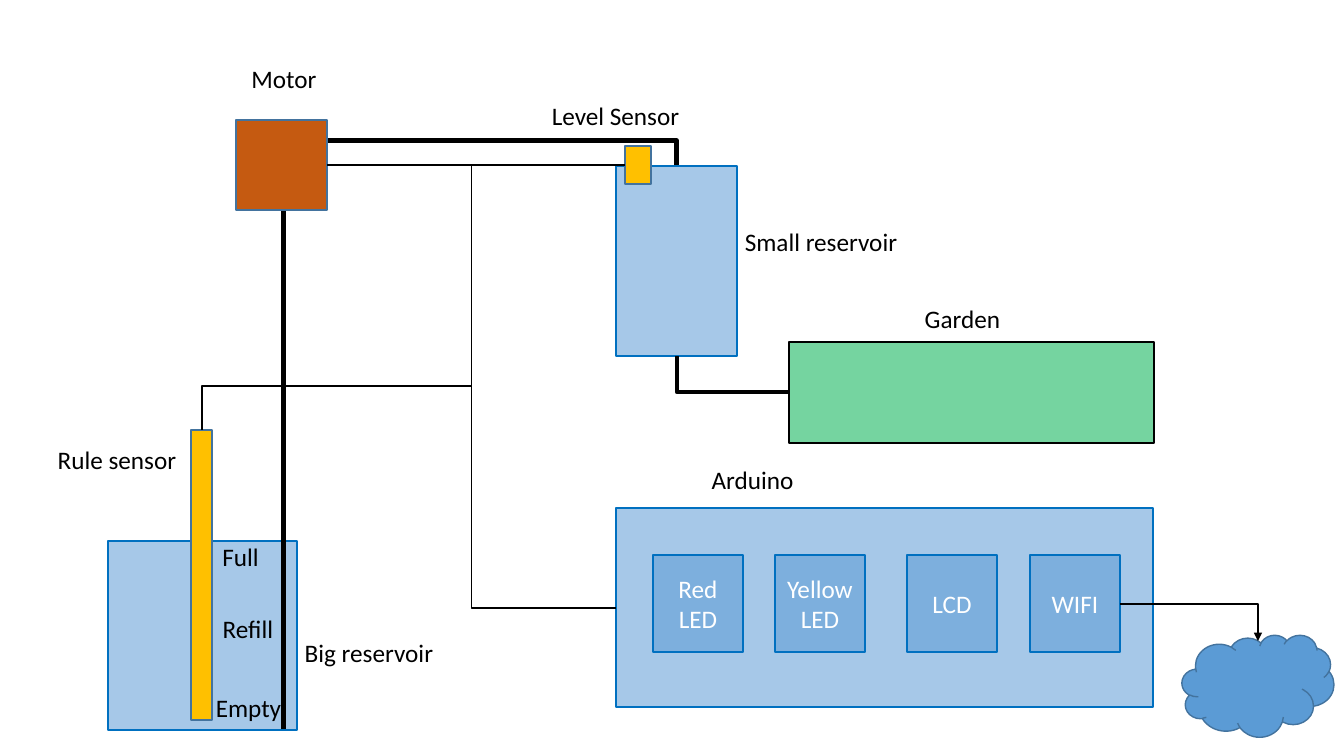
"""Builds the wiring diagram of an automatic garden watering system."""
from lxml.etree import SubElement
from pptx import Presentation
from pptx.dml.color import RGBColor
from pptx.enum.shapes import MSO_CONNECTOR as LINK, MSO_SHAPE as SHAPE
from pptx.enum.text import MSO_ANCHOR as ANCHOR, MSO_AUTO_SIZE as AUTOSIZE, PP_ALIGN as ALIGN
from pptx.oxml.ns import qn
from pptx.util import Emu, Pt

PX = 12192000 / 1344


def px(length):
    """Turn whole pixels into EMU."""
    return Emu(round(length * PX))


def color(hex_code):
    """Turn a hex string into a colour."""
    return RGBColor.from_string(hex_code)


def write(frame, text, size=18, font="Calibri", ink="000000", align=ALIGN.CENTER):
    """Fill a text frame, one paragraph for each line of the text."""
    frame.text = text
    for paragraph in frame.paragraphs:
        paragraph.alignment = align
        for run in paragraph.runs:
            run.font.size = Pt(size)
            run.font.name = font
            run.font.color.rgb = color(ink)


class Diagram:
    """Holds the style and the current slide."""

    black, white = "000000", "FFFFFF"
    blue, blue_edge = "5B9BD5", "0070C0"
    amber, rust, green, dark_edge = "FFC000", "C55A11", "00B050", "43739E"
    pipe, wire, signal = 3.25, 1, 1.5

    def __init__(self, slide):
        """Keep the slide that is drawn on."""
        self.shapes = slide.shapes

    def label(self, left, top, width, text):
        """Add a one-line centred caption."""
        frame = self.shapes.add_textbox(px(left), px(top), px(width), px(40)).text_frame
        frame.word_wrap = False
        frame.auto_size = AUTOSIZE.SHAPE_TO_FIT_TEXT
        write(frame, text)

    def device(self, left, top, width, height, fill, edge, alpha=100, text="", kind=SHAPE.RECTANGLE):
        """Add a filled component, with white text if any."""
        device = self.shapes.add_shape(kind, px(left), px(top), px(width), px(height))
        device.shadow.inherit = False
        device.fill.solid()
        device.fill.fore_color.rgb = color(fill)
        if alpha < 100:
            tint = device._element.spPr.find(qn("a:solidFill"))[0]
            SubElement(tint, qn("a:alpha"), val=str(alpha * 1000))
        device.line.color.rgb = color(edge)
        device.line.width = Pt(1)
        if text:
            device.text_frame.vertical_anchor = ANCHOR.MIDDLE
            write(device.text_frame, text, ink=self.white)
        return device

    def tank(self, left, top, width, height, text=""):
        """Add a translucent blue component."""
        return self.device(left, top, width, height, self.blue, self.blue_edge, 54, text)

    def link(self, start, end, width, kind=LINK.ELBOW, arrow=False):
        """Add a black connector between two points."""
        link = self.shapes.add_connector(kind, *map(px, start + end))
        link.line.color.rgb = color(self.black)
        link.line.width = Pt(width)
        properties = link._element.spPr
        if arrow:
            SubElement(properties.find(qn("a:ln")), qn("a:tailEnd"), type="triangle")
        SubElement(properties, qn("a:effectLst"))
        return link

    def corner(self, start, end, width, arrow=False):
        """Add a connector that runs sideways, then turns once."""
        link = self.link(start, end, width, arrow=arrow)
        link._element.spPr.find(qn("a:prstGeom")).set("prst", "bentConnector2")

    def riser(self, start, end, peak, width):
        """Add a connector that rises to a peak, crosses, and drops to its end."""
        run, rise = end[0] - start[0], start[1] - end[1]
        left = (start[0] + end[0] - rise) // 2
        top = (start[1] + end[1] - run) // 2
        link = self.link((left + rise, top + run), (left, top), width)
        properties = link._element.spPr
        properties.find(qn("a:xfrm")).set("rot", "5400000")
        bend = round((start[1] - peak) / rise * 100000)
        guides = properties.find(qn("a:prstGeom")).find(qn("a:avLst"))
        SubElement(guides, qn("a:gd"), name="adj1", fmla=f"val {bend}")


def main():
    """Draw the diagram and save it."""
    deck = Presentation()
    deck.slide_width, deck.slide_height = px(1344), px(756)
    d = Diagram(deck.slides.add_slide(deck.slide_layouts[6]))

    d.tank(108, 541, 189, 189)
    d.label(294, 632, 150, "Big reservoir")
    d.label(47, 439, 140, "Rule sensor")
    d.device(191, 430, 21, 290, d.amber, d.dark_edge)
    d.label(212, 536, 57, "Full")
    d.label(212, 608, 72, "Refill")
    d.label(205, 687, 87, "Empty")

    d.tank(616, 166, 121, 190)
    d.label(734, 221, 174, "Small reservoir")
    d.riser((284, 730), (677, 166), 141, d.pipe)
    level_sensor = d.device(625, 146, 26, 38, d.amber, d.dark_edge)
    d.label(541, 95, 149, "Level Sensor")
    motor = d.device(236, 120, 91, 90, d.rust, d.dark_edge)
    d.label(241, 58, 86, "Motor")

    d.tank(616, 508, 537, 199)
    d.label(701, 459, 103, "Arduino")
    modules = {653: "Red\nLED", 775: "Yellow\nLED", 907: "LCD", 1030: "WIFI"}
    for left, text in modules.items():
        d.tank(left, 555, 90, 97, text)

    level_wire = d.link((327, 165), (625, 165), d.wire, LINK.STRAIGHT)
    level_wire.begin_connect(motor, 3)
    level_wire.end_connect(level_sensor, 1)
    d.link((616, 608), (327, 165), d.wire)
    d.corner((471, 386), (202, 430), d.wire)

    d.device(1182, 635, 152, 102, d.blue, d.dark_edge, kind=SHAPE.CLOUD)
    d.corner((1120, 604), (1258, 641), d.signal, arrow=True)

    d.device(789, 342, 365, 101, d.green, d.black, 54)
    d.label(914, 298, 97, "Garden")
    d.corner((789, 392), (677, 356), d.pipe)

    deck.save("out.pptx")


if __name__ == "__main__":
    main()
